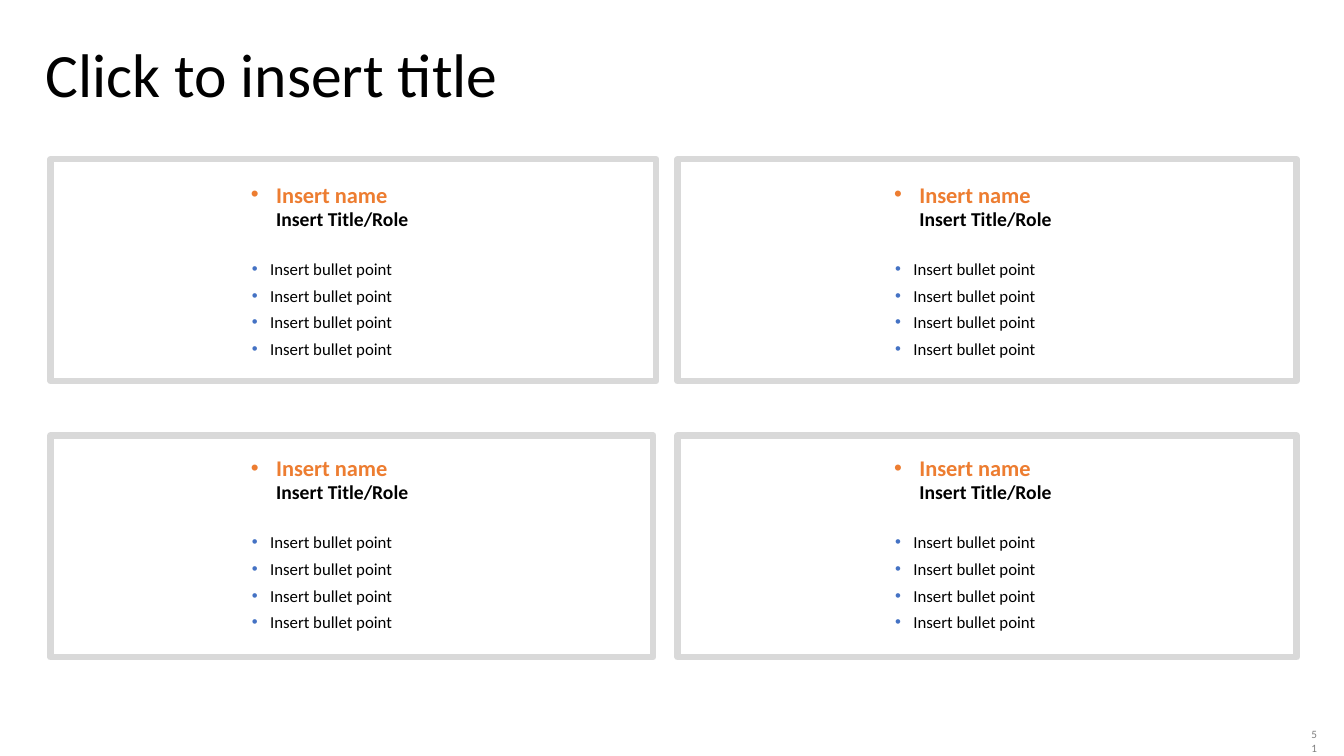
from pptx import Presentation
from pptx.dml.color import RGBColor
from pptx.enum.shapes import MSO_SHAPE as Preset
from pptx.enum.text import MSO_ANCHOR as Anchor, PP_ALIGN as Align
from pptx.oxml.ns import qn
from pptx.util import Inches, Pt
from lxml.etree import SubElement

INK, ORANGE, BLUE, BORDER, GREY = "000000", "ED7D31", "4472C4", "D9D9D9", "808080"
COLUMNS = (2.39, 8.77)
ROWS = (1.58, 4.32)
FRAME_SPANS = (((0.5, 6.01), (6.72, 6.14)), ((0.5, 5.98), (6.72, 6.14)))
FRAME_HEIGHT = 2.2
PROFILE_OFFSETS = (0.21, 0.18)


def color(value):
    """Turn a hex string into a colour."""
    return RGBColor.from_string(value)


def set_format(target, values):
    """Set every attribute named in a dict of format values."""
    for attribute, value in values.items():
        setattr(target, attribute, value)


def add_words(paragraph, words, size, ink, bold=False):
    """Add a formatted run to a paragraph."""
    run = paragraph.add_run()
    run.text = words
    set_format(run.font, {"name": "Calibri", "size": Pt(size), "bold": bold})
    run.font.color.rgb = color(ink)


def add_bullet(paragraph, ink, margin, indent):
    """Give a paragraph a coloured bullet and a hanging indent."""
    properties = paragraph._p.get_or_add_pPr()
    properties.set("marL", str(Inches(margin)))
    properties.set("indent", str(Inches(indent)))
    bullet_color = SubElement(properties, qn("a:buClr"))
    SubElement(bullet_color, qn("a:srgbClr"), val=ink)
    SubElement(properties, qn("a:buFont"), typeface="Arial")
    SubElement(properties, qn("a:buChar"), char="•")


def add_title(slide, left, top, width, height):
    """Place and format the slide title."""
    title = slide.shapes.title
    set_format(title, {"left": Inches(left), "top": Inches(top),
                       "width": Inches(width), "height": Inches(height)})
    frame = title.text_frame
    set_format(frame, {"margin_left": 0, "margin_top": 0, "margin_right": 0,
                       "margin_bottom": 0, "word_wrap": True,
                       "vertical_anchor": Anchor.TOP})
    heading = frame.paragraphs[0]
    set_format(heading, {"alignment": Align.LEFT, "line_spacing": 0.9})
    add_words(heading, "Click to insert title", 44, INK)


def add_profile(slide, left, top, width, height):
    """Write a name, a role and four bullet points in a box."""
    box = slide.shapes.add_textbox(*map(Inches, (left, top, width, height)))
    frame = box.text_frame
    frame.word_wrap = True
    person = frame.paragraphs[0]
    add_bullet(person, ORANGE, 0.25, -0.25)
    set_format(person, {"line_spacing": Pt(16), "space_after": Pt(16)})
    add_words(person, "Insert name", 16, ORANGE, True)
    person.add_line_break()
    add_words(person, "Insert Title/Role", 14, INK, True)
    for _ in range(4):
        point = frame.add_paragraph()
        add_bullet(point, BLUE, 0.19, -0.18)
        set_format(point, {"level": 1, "line_spacing": Pt(14), "space_before": Pt(5)})
        add_words(point, "Insert bullet point", 12, INK)


def add_border(slide, left, top, width, height):
    """Draw the grey border of a profile."""
    border = slide.shapes.add_shape(
        Preset.RECTANGLE, *map(Inches, (left, top, width, height)))
    border.shadow.inherit = False
    border.fill.background()
    border.line.color.rgb = color(BORDER)
    border.line.width = Pt(4.5)


def add_page_number(slide, left, top, width, height):
    """Write the page number in the bottom right corner."""
    box = slide.shapes.add_textbox(*map(Inches, (left, top, width, height)))
    box.text_frame.word_wrap = True
    number = box.text_frame.paragraphs[0]
    number.alignment = Align.RIGHT
    add_words(number, "51", 8, GREY)


def main():
    """Build the slide and save it."""
    deck = Presentation()
    set_format(deck, {"slide_width": Inches(13.33), "slide_height": Inches(7.5)})
    slide = deck.slides.add_slide(deck.slide_layouts[5])
    add_page_number(slide, 12.89, 7.17, 0.27, 0.24)
    add_title(slide, 0.45, 0.44, 12.05, 0.94)
    for top, offset, spans in zip(ROWS, PROFILE_OFFSETS, FRAME_SPANS):
        for column, (left, width) in zip(COLUMNS, spans):
            add_profile(slide, column, top + offset, 4.09, 1.83)
            add_border(slide, left, top, width, FRAME_HEIGHT)
    deck.save("out.pptx")


if __name__ == "__main__":
    main()
